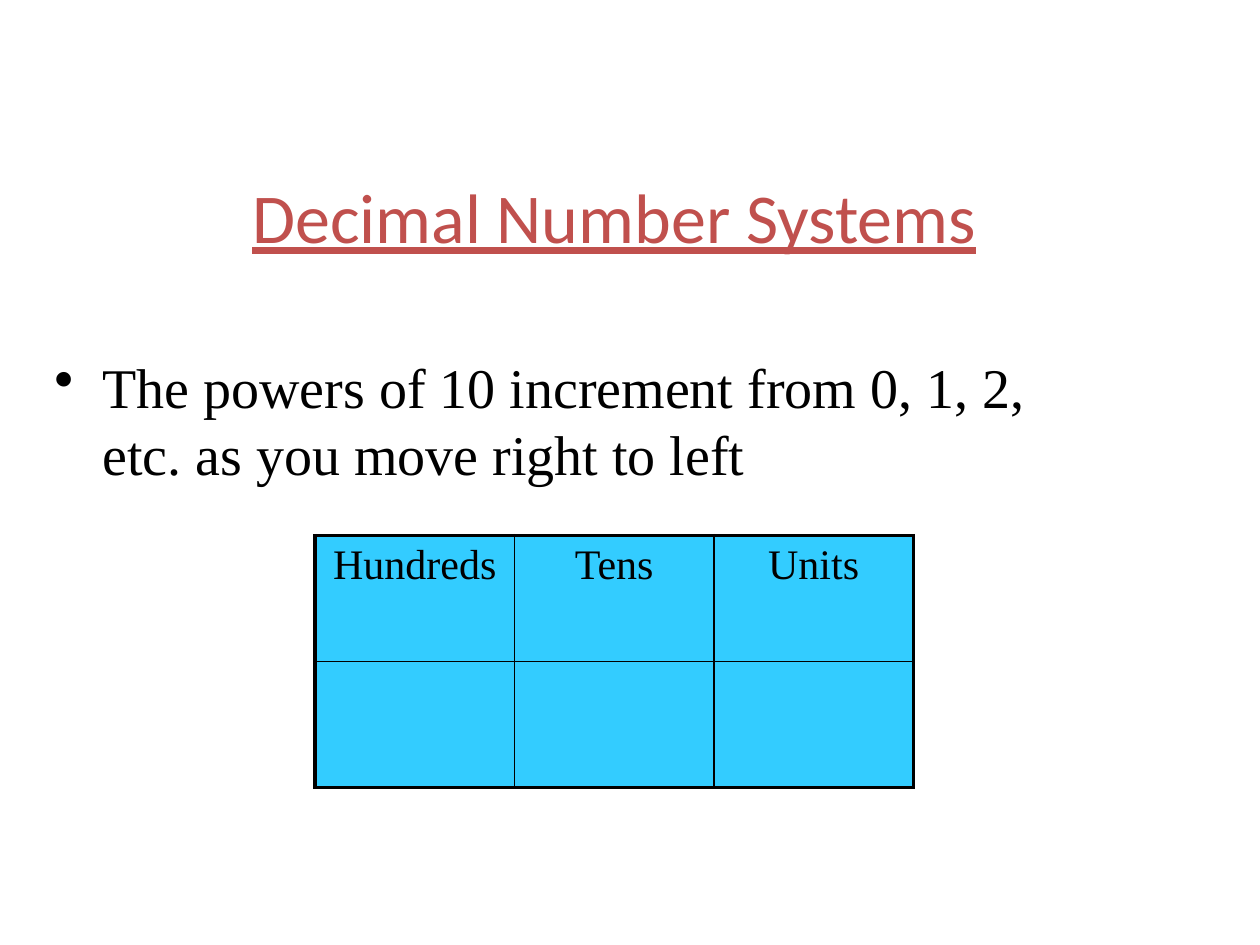
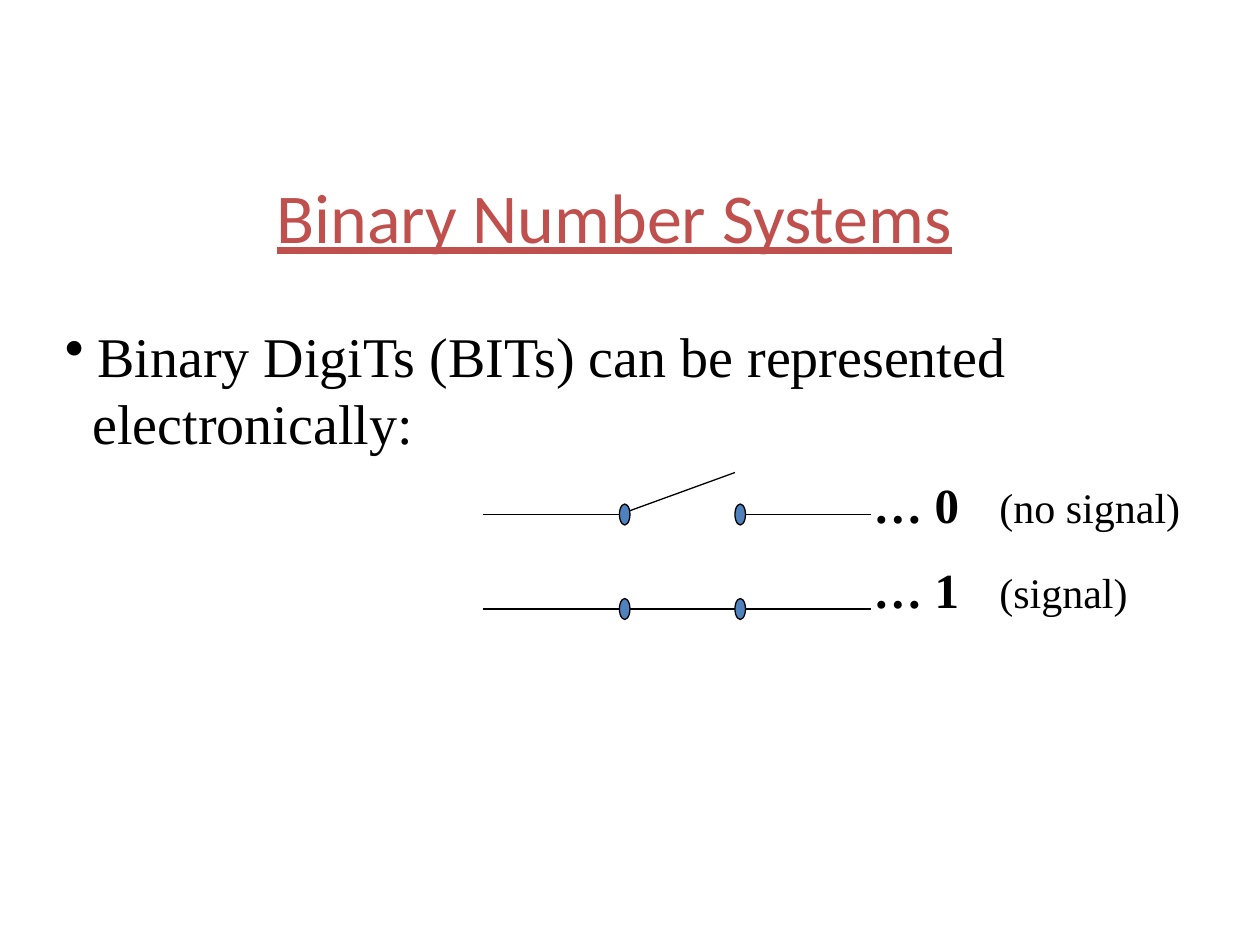
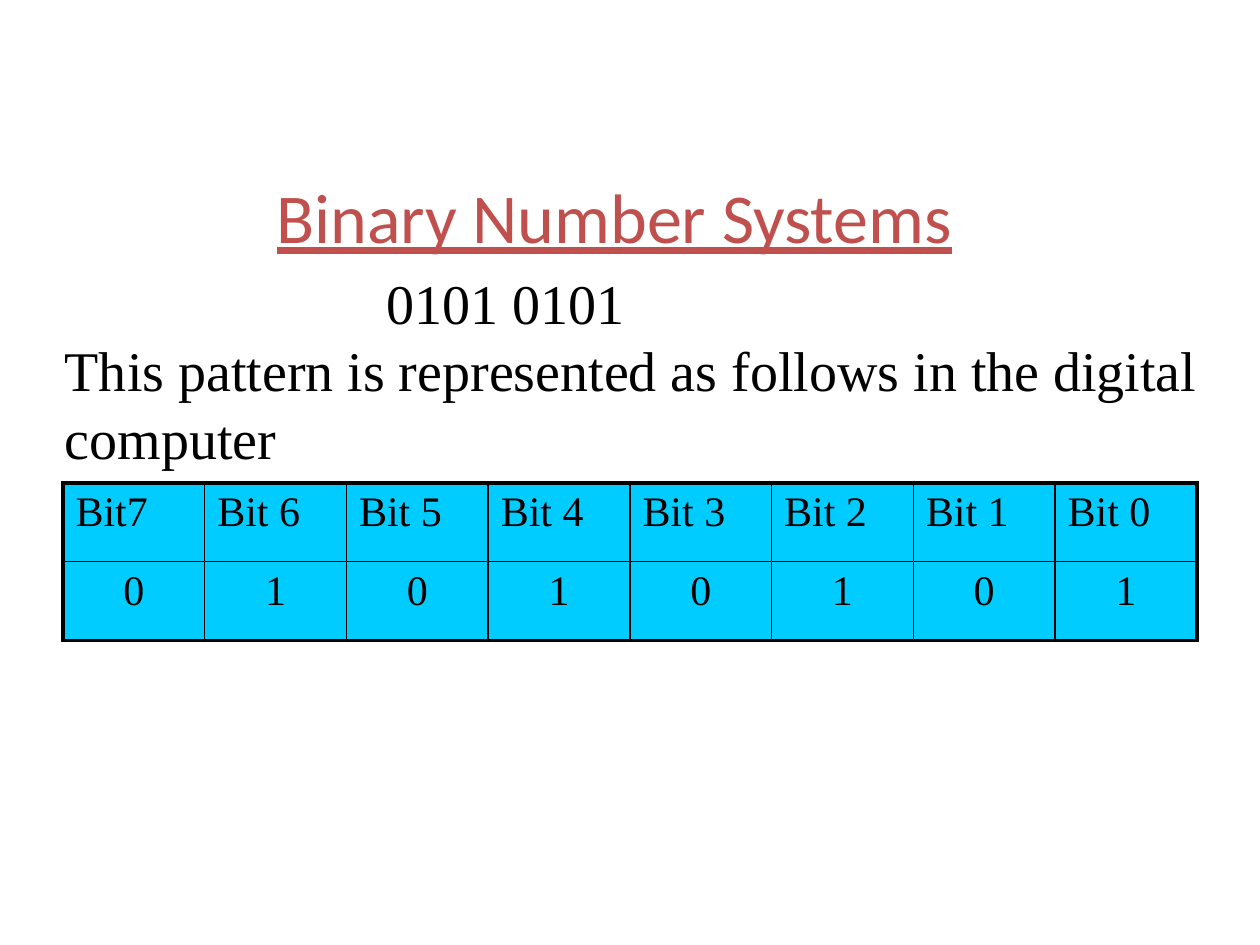
from itertools import pairwise

from pptx import Presentation
from pptx.dml.color import RGBColor
from pptx.enum.shapes import MSO_CONNECTOR, MSO_SHAPE
from pptx.enum.text import MSO_ANCHOR, MSO_AUTO_SIZE, PP_ALIGN as Align
from pptx.oxml.ns import qn
from pptx.util import Inches, Pt
from lxml.etree import SubElement

BLACK = RGBColor(0x00, 0x00, 0x00)
RED = RGBColor(0xC0, 0x50, 0x4D)
BLUE = RGBColor(0x4F, 0x81, 0xBD)
SKY = RGBColor(0x33, 0xCC, 0xFF)
CYAN = RGBColor(0x00, 0xCC, 0xFF)
SERIF = "Times New Roman"
SANS = "Calibri"

deck = Presentation()
deck.slide_width = Inches(10)
deck.slide_height = Inches(7.5)
UNIT = deck.slide_width // 120


def area(*columns_and_rows):
    return [round(count * UNIT) for count in columns_and_rows]


def write(frame, text, size=32, font=SERIF, color=BLACK, bold=False, underline=False,
          align=Align.LEFT, before=0, left=0, bullet=None, tab=None, join=False):
    para = frame.paragraphs[-1]
    if not join:
        if para.runs:
            para = frame.add_paragraph()
        para.alignment = align
        para.space_before = Pt(before)
        props = para._p.get_or_add_pPr()
        props.set("marL", str(Inches(left)))
        props.set("indent", str(-Inches(left) if bullet else 0))
        if bullet:
            SubElement(props, qn("a:buChar"), char=bullet)
        else:
            SubElement(props, qn("a:buNone"))
        if tab:
            stops = SubElement(props, qn("a:tabLst"))
            SubElement(stops, qn("a:tab"), pos=str(Inches(tab)), algn="l")
    span = para.add_run()
    span.text = text
    span.font.size = Pt(size)
    span.font.name = font
    span.font.color.rgb = color
    span.font.bold = bold
    span.font.underline = underline


pages = []
bodies = []
for heading, body_area in (
    ("Decimal Number Systems", (4, 33, 98, 23)),
    ("Binary Number Systems", (5, 30, 115, 20.4)),
    ("Binary Number Systems", (5, 25, 115, 59)),
):
    page = deck.slides.add_slide(deck.slide_layouts[5])
    title = page.shapes.title
    title.left, title.top, title.width, title.height = area(12, 14, 93, 13)
    title.text_frame.auto_size = MSO_AUTO_SIZE.NONE
    title.text_frame.vertical_anchor = MSO_ANCHOR.MIDDLE
    write(title.text_frame, heading, size=40, font=SANS, color=RED, underline=True,
          align=Align.CENTER)
    body = page.shapes.add_textbox(*area(*body_area)).text_frame
    body.word_wrap = True
    pages.append(page)
    bodies.append(body)

decimal_page, switch_page, bits_page = pages
decimal_body, switch_body, bits_body = bodies

write(decimal_body, "The powers of 10 increment from 0, 1, 2, etc. as you move right to left",
      left=0.38, bullet="•")

write(switch_body, "Binary DigiTs (BITs) can be represented", left=0.26, bullet="•")
write(switch_body, "electronically:", left=0.22)

contacts = (59, 70)
for wire_row, lever_row in ((49, 45), (58, 58)):
    wire_ends = [(46, wire_row), (59, wire_row), (70, lever_row)]
    segments = [*pairwise(wire_ends), ((70, wire_row), (83, wire_row))]
    for start, end in segments:
        wire = switch_page.shapes.add_connector(MSO_CONNECTOR.STRAIGHT, *area(*start, *end))
        wire.line.color.rgb = BLACK
        wire.line.width = Pt(0.75)
        SubElement(wire._element.spPr, qn("a:effectLst"))
    for column in contacts:
        contact = switch_page.shapes.add_shape(MSO_SHAPE.OVAL, *area(column, wire_row - 1, 1, 2))
        contact.shadow.inherit = False
        contact.fill.solid()
        contact.fill.fore_color.rgb = BLUE
        contact.line.color.rgb = BLACK
        contact.line.width = Pt(0.75)

signals = switch_page.shapes.add_textbox(*area(82, 44.6, 34, 15)).text_frame
signals.word_wrap = True
for digit, meaning, gap in (("… 0", "(no signal)", 0), ("… 1", "(signal)", 15)):
    write(signals, digit + "\t", size=28, bold=True, before=gap, tab=0.88)
    write(signals, meaning, size=24, join=True)

write(bits_body, "0101 0101", left=2.55)
write(bits_body, "This pattern is represented as follows in the digital computer")

place_names = ["Hundreds", "Tens", "Units"]
bit_names = ["Bit7"] + [f"Bit {bit}" for bit in range(6, -1, -1)]
for page, table_area, fill, heading_align, rows in (
    (decimal_page, (30, 51, 57, 24), SKY, Align.CENTER, [place_names, [""] * 3]),
    (bits_page, (6, 46, 108, 15), CYAN, Align.LEFT, [bit_names, list("01010101")]),
):
    last_row, last_column = len(rows) - 1, len(rows[0]) - 1
    table = page.shapes.add_table(len(rows), len(rows[0]), *area(*table_area)).table
    table.first_row = table.horz_banding = False
    for row, texts in enumerate(rows):
        for column, text in enumerate(texts):
            cell = table.cell(row, column)
            borders = {"a:lnL": column == 0, "a:lnR": column == last_column,
                       "a:lnT": row == 0, "a:lnB": row == last_row}
            for side, is_outer in borders.items():
                width = Pt(2.25) if is_outer else Pt(1)
                border = SubElement(cell._tc.get_or_add_tcPr(), qn(side), w=str(width))
                paint = SubElement(border, qn("a:solidFill"))
                SubElement(paint, qn("a:srgbClr"), val=str(BLACK))
            cell.fill.solid()
            cell.fill.fore_color.rgb = fill
            if text:
                write(cell.text_frame, text, size=24,
                      align=heading_align if row == 0 else Align.CENTER)

deck.save("out.pptx")
